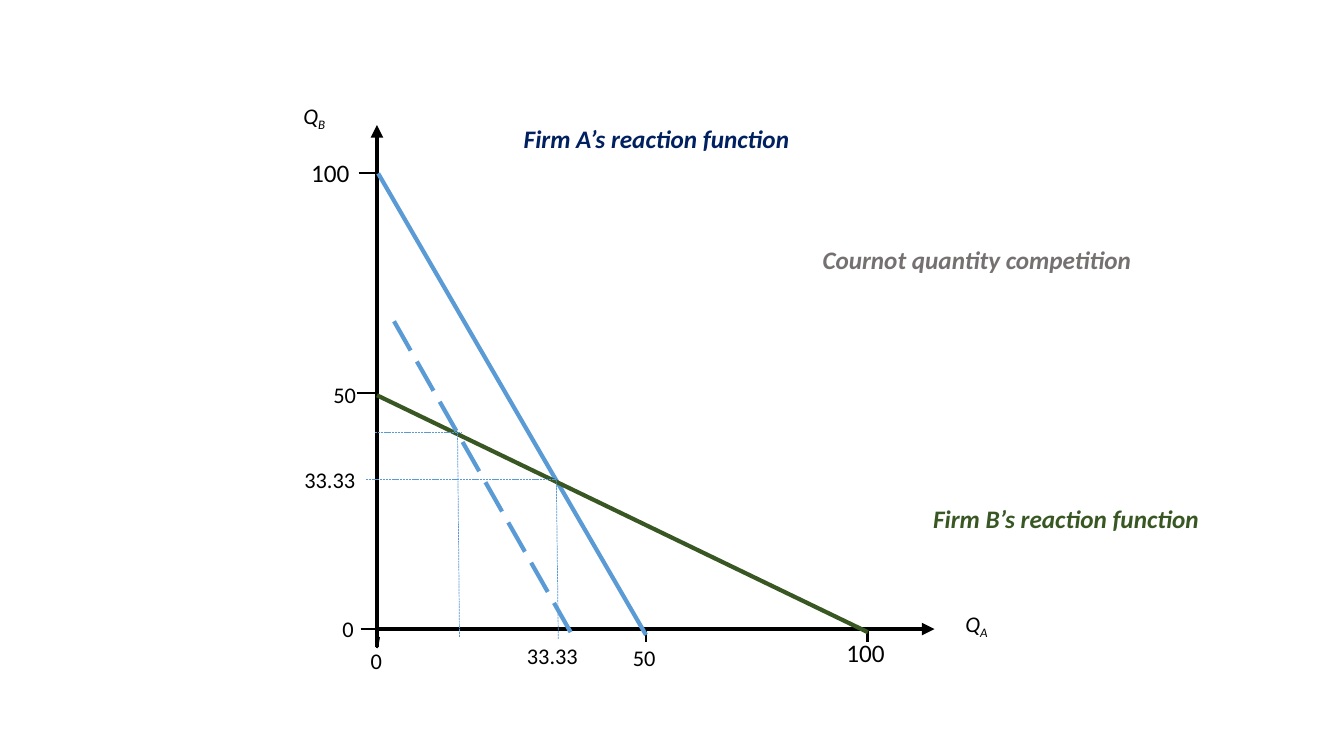
from dataclasses import dataclass

from lxml import etree
from pptx import Presentation
from pptx.dml.color import RGBColor
from pptx.enum.dml import MSO_LINE
from pptx.enum.shapes import MSO_CONNECTOR
from pptx.enum.text import MSO_AUTO_SIZE, PP_ALIGN
from pptx.oxml.ns import qn
from pptx.util import Cm, Pt

STRAIGHT = MSO_CONNECTOR.STRAIGHT
FIT_SHAPE = MSO_AUTO_SIZE.SHAPE_TO_FIT_TEXT
LEFT, CENTER = PP_ALIGN.LEFT, PP_ALIGN.CENTER
# MSO_LINE.SQUARE_DOT is written as sysDash's neighbour, sysDot
LONG_DASH, FINE_DASH = MSO_LINE.LONG_DASH, MSO_LINE.SQUARE_DOT


@dataclass(frozen=True)
class Theme:
    font: str = "Calibri"
    ink: str = "000000"
    firm_a: str = "5B9BD5"
    firm_a_title: str = "002060"
    firm_b: str = "385723"
    heading: str = "767171"
    label_size: int = 16
    title_size: int = 18
    curve: float = 3
    tick: float = 1.5
    strong_tick: float = 2
    guide: float = 0.5


class Diagram:
    def __init__(self, page, theme):
        self.page = page
        self.theme = theme

    def line(self, start, end, color, width, dash=None, arrow=False):
        """Draw a line between two points in cm; an arrow sits at its start."""
        connector = self.page.shapes.add_connector(
            STRAIGHT, *(Cm(value) for value in (*start, *end)))
        connector.line.color.rgb = RGBColor.from_string(color)
        connector.line.width = Pt(width)
        if dash:
            connector.line.dash_style = dash
        if arrow:
            outline = connector.line._get_or_add_ln()
            etree.SubElement(outline, qn("a:headEnd"), type="triangle")
        properties = connector._element.spPr
        etree.SubElement(properties, qn("a:effectLst"))

    def text(self, place, words, size, color, align=LEFT, subscript="", wrap=False, **style):
        """Place one line of text, with an optional subscript after it."""
        left, top, width = place
        height = size * 0.0425 + 0.26
        box = self.page.shapes.add_textbox(Cm(left), Cm(top), Cm(width), Cm(height))
        frame = box.text_frame
        frame.word_wrap = wrap
        frame.auto_size = FIT_SHAPE
        para = frame.paragraphs[0]
        para.alignment = align
        formats = {"name": self.theme.font, "size": Pt(size), **style}
        for part in filter(None, (words, subscript)):
            span = para.add_run()
            span.text = part
            for name, value in formats.items():
                setattr(span.font, name, value)
            span.font.color.rgb = RGBColor.from_string(color)
        if subscript:
            span.font._element.set("baseline", "-25000")

    def label(self, place, words, size=None):
        self.text(place, words, size or self.theme.label_size, self.theme.ink)

    def axis_name(self, place, firm):
        self.text(place, "Q", self.theme.label_size, self.theme.ink, CENTER, firm, italic=True)

    def title(self, place, words, color):
        self.text(place, words, self.theme.title_size, color, CENTER,
                  wrap=True, bold=True, italic=True)

    def guide(self, start, end):
        self.line(start, end, self.theme.firm_a, self.theme.guide, FINE_DASH)


def main():
    deck = Presentation()
    deck.slide_width, deck.slide_height = Cm(33.87), Cm(19.05)
    theme = Theme()
    diagram = Diagram(deck.slides.add_slide(deck.slide_layouts[6]), theme)

    # Axes
    axis_x, axis_y = 9.5, 15.85
    diagram.line((axis_x, 3.15), (axis_x, 16.31), theme.ink, theme.curve, arrow=True)
    diagram.line((23.55, axis_y), (9.45, axis_y), theme.ink, theme.curve, arrow=True)
    diagram.axis_name((7.26, 2.44, 1.32), "B")
    diagram.axis_name((23.95, 15.24, 1.32), "A")

    # Ticks
    diagram.line((axis_x, 16.33), (9.55, 16.05), theme.ink, theme.tick)
    for left, height in ((9.09, axis_y), (9.04, 4.37), (8.99, 9.91)):
        diagram.line((left, height), (left + 0.46, height), theme.ink, theme.tick)
    for across in (16.28, 21.87):
        diagram.line((across, 15.82), (across, 16.18), theme.ink, theme.strong_tick)

    # Reaction functions
    diagram.line((16.28, 16), (9.53, 4.37), theme.firm_a, theme.curve)
    diagram.line((21.87, 15.93), (axis_x, 9.96), theme.firm_b, theme.curve)
    diagram.line((14.38, 15.93), (9.83, 7.92), theme.firm_a, theme.curve, LONG_DASH)

    # Guides from both equilibria to the axes
    diagram.guide((14.07, 16.1), (14.02, 12.09))
    diagram.guide((9.22, 12.09), (14.02, 12.09))
    diagram.guide((11.58, 16.05), (11.53, 10.9))
    diagram.guide((9.45, 10.9), (11.61, 10.9))

    # Tick labels
    for place, words in (
        ((9.09, 16.18, 1.09), "0"),
        ((8.38, 15.37, 0.71), "0"),
        ((15.7, 16.1, 1.14), "50"),
        ((8.15, 9.47, 1.35), "50"),
        ((13.03, 16.05, 1.98), "33.33"),
        ((7.42, 11.61, 1.8), "33.33"),
    ):
        diagram.label(place, words)
    for place in ((7.59, 3.84, 1.57), (21.08, 15.93, 1.57)):
        diagram.label(place, "100", theme.title_size)

    # Titles
    diagram.title((12.01, 2.97, 9.07), "Firm A’s reaction function", theme.firm_a_title)
    diagram.title((18.42, 6.02, 12.4), "Cournot quantity competition", theme.heading)
    diagram.title((22.33, 12.55, 9.07), "Firm B’s reaction function", theme.firm_b)

    deck.save("out.pptx")


if __name__ == "__main__":
    main()
